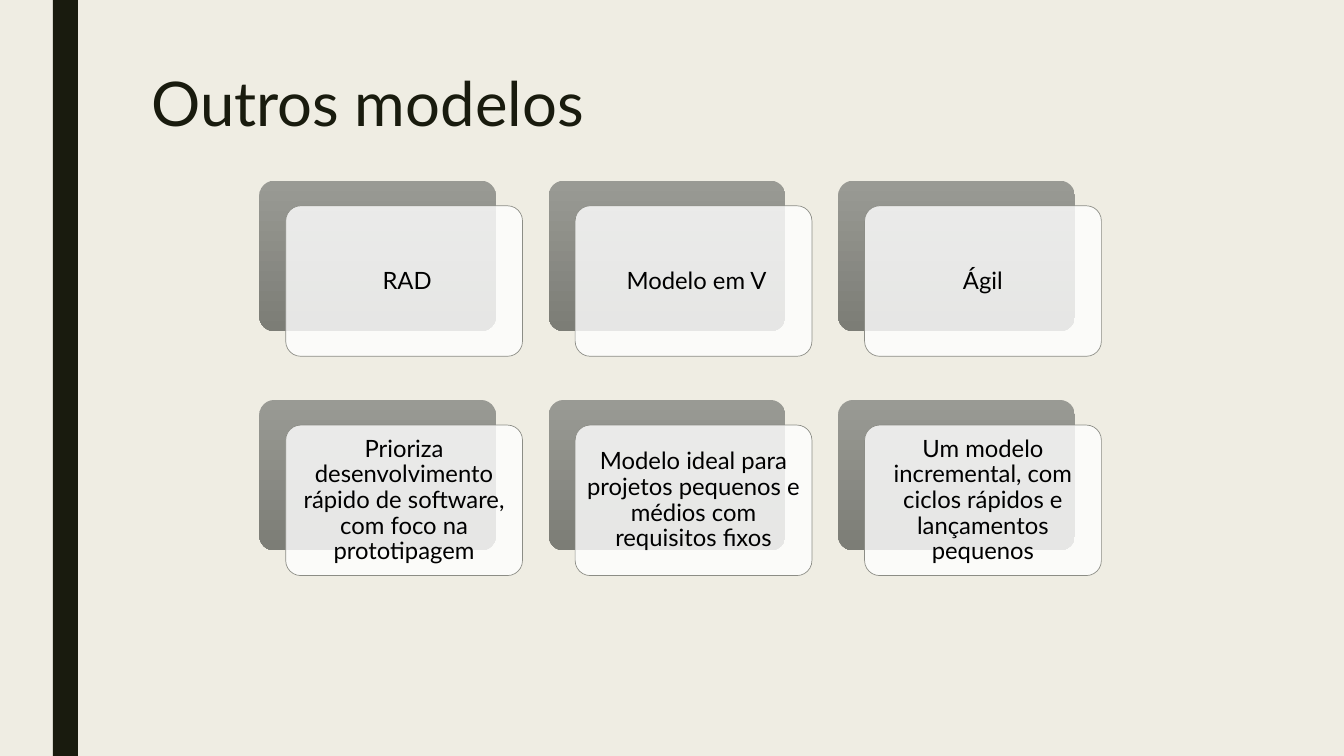
"""Builds the slide "Outros modelos": three process models above their descriptions."""
from dataclasses import dataclass

from lxml.etree import SubElement
from pptx import Presentation
from pptx.dml.color import RGBColor
from pptx.enum.shapes import MSO_SHAPE
from pptx.enum.text import MSO_ANCHOR, PP_ALIGN
from pptx.oxml.ns import qn
from pptx.util import Cm, Pt


@dataclass(frozen=True)
class Theme:
    font: str = "Lato"
    paper: RGBColor = RGBColor.from_string("EFEDE3")
    dark: RGBColor = RGBColor.from_string("191B0E")
    card: RGBColor = RGBColor.from_string("FFFFFF")
    text: RGBColor = RGBColor.from_string("000000")
    edge: RGBColor = RGBColor.from_string("8C8D86")
    grad_top: RGBColor = RGBColor.from_string("999A94")
    grad_bottom: RGBColor = RGBColor.from_string("7C7D76")
    card_alpha: int = 81000
    title_size: float = 66
    title_leading: float = 70.5
    body_size: float = 25.5
    body_leading: float = 27.5


theme = Theme()


def add_box(kind, x, y, w, h):
    sp = s.shapes.add_shape(kind, Cm(x), Cm(y), Cm(w), Cm(h))
    sp.shadow.inherit = False
    sp.line.fill.background()
    if kind == MSO_SHAPE.ROUNDED_RECTANGLE:
        sp.adjustments[0] = 0.1
    return sp


def write(sp, text, size, leading, color, align, anchor, inset):
    tf = sp.text_frame
    tf.word_wrap = True
    tf.vertical_anchor = anchor
    tf.margin_left = tf.margin_right = tf.margin_top = tf.margin_bottom = Cm(inset)
    p = tf.paragraphs[0]
    p.alignment = align
    p.line_spacing = Pt(leading)
    r = p.add_run()
    r.text = text
    r.font.name = theme.font
    r.font.size = Pt(size)
    r.font.color.rgb = color


prs = Presentation()
prs.slide_width, prs.slide_height = Cm(50.8), Cm(28.58)
s = prs.slides.add_slide(prs.slide_layouts[6])
s.background.fill.solid()
s.background.fill.fore_color.rgb = theme.paper

bar = add_box(MSO_SHAPE.RECTANGLE, 2, 0, 0.95, 28.58)
bar.fill.solid()
bar.fill.fore_color.rgb = theme.dark

title = s.shapes.add_textbox(Cm(5.72), Cm(2.77), Cm(40), Cm(6.3))
write(title, "Outros modelos", theme.title_size, theme.title_leading,
      theme.dark, PP_ALIGN.LEFT, MSO_ANCHOR.TOP, 0)

models = [
    (" RAD", "Prioriza desenvolvimento rápido de software, com foco na prototipagem"),
    (" Modelo em V", "Modelo ideal para projetos pequenos e médios com requisitos fixos"),
    ("Ágil", "Um modelo incremental, com ciclos rápidos e lançamentos pequenos"),
]
left, top = 9.8, 6.83
card_w, card_h = 8.95, 5.69
step_x, step_y = 10.94, 8.29
shift_x, shift_y = 1, 0.95

for col, model in enumerate(models):
    for row, text in enumerate(model):
        x, y = left + col * step_x, top + row * step_y

        back = add_box(MSO_SHAPE.ROUNDED_RECTANGLE, x, y, card_w, card_h)
        back.fill.gradient()
        back.fill.gradient_angle = 270
        for stop, color in zip(back.fill.gradient_stops, (theme.grad_top, theme.grad_bottom)):
            stop.color.rgb = color

        card = add_box(MSO_SHAPE.ROUNDED_RECTANGLE, x + shift_x, y + shift_y, card_w, card_h)
        card.fill.solid()
        card.fill.fore_color.rgb = theme.card
        rgb = card.fill._xPr.find(qn("a:solidFill")).find(qn("a:srgbClr"))
        SubElement(rgb, qn("a:alpha"), val=str(theme.card_alpha))
        card.line.color.rgb = theme.edge
        card.line.width = Pt(0.75)
        write(card, text, theme.body_size, theme.body_leading,
              theme.text, PP_ALIGN.CENTER, MSO_ANCHOR.MIDDLE, 0)
        card.text_frame.margin_left = card.text_frame.margin_right = Cm(0.15)

prs.save("out.pptx")
